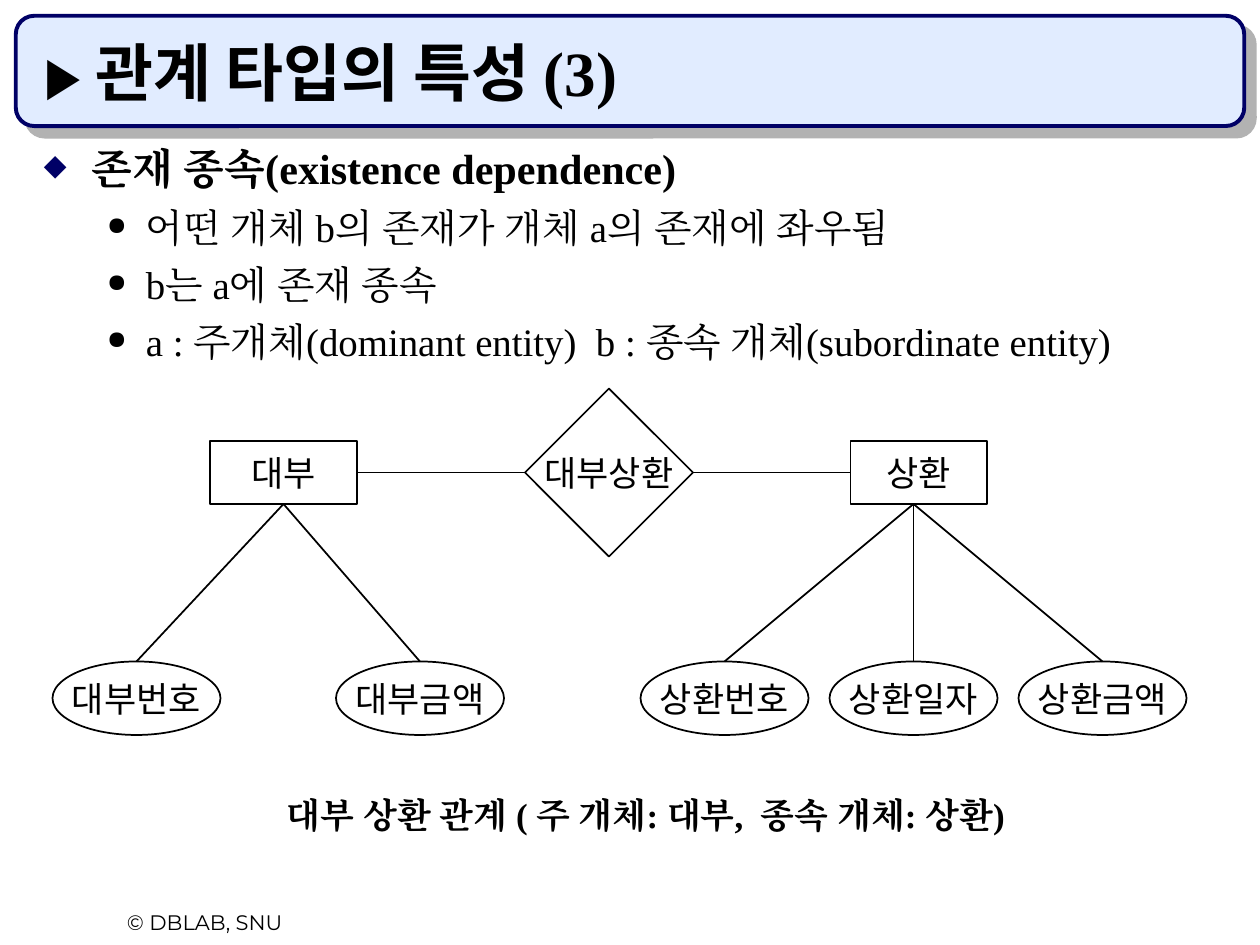
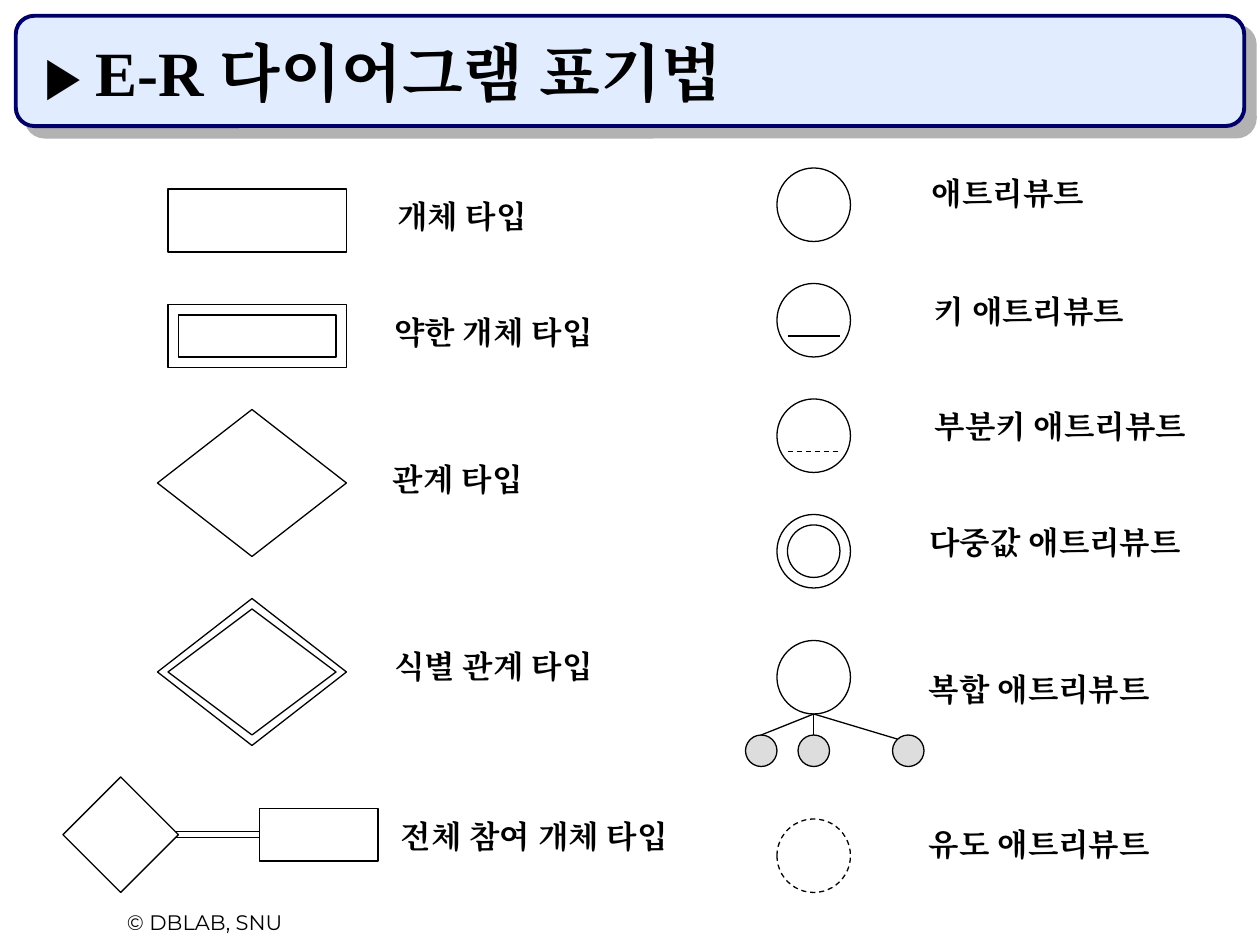
from lxml.etree import SubElement
from pptx import Presentation
from pptx.dml.color import RGBColor
from pptx.enum.dml import MSO_LINE_DASH_STYLE as Dash
from pptx.enum.shapes import MSO_CONNECTOR_TYPE as Link, MSO_SHAPE as Shape
from pptx.enum.text import MSO_ANCHOR as Anchor, MSO_AUTO_SIZE as AutoSize, PP_ALIGN as Align
from pptx.oxml.ns import qn
from pptx.util import Inches, Pt

BLACK = RGBColor(0x00, 0x00, 0x00)
WHITE = RGBColor(0xFF, 0xFF, 0xFF)
NAVY = RGBColor(0x00, 0x00, 0x66)
PALE_BLUE = RGBColor(0xE1, 0xEC, 0xFF)
SHADOW = RGBColor(0xB2, 0xB2, 0xB2)
GREY = RGBColor(0xDD, 0xDD, 0xDD)

SERIF = "Times New Roman"
KOREAN = "Noto Sans CJK KR"
FOOTER_FONT = "Montserrat"

WIDTH, HEIGHT = Inches(10), Inches(7.5)
COLUMN, ROW = WIDTH / 120, HEIGHT / 90
TITLE_ONLY = 5


def place(box):
    left, top, width, height = box
    return [round(v) for v in (left * COLUMN, top * ROW, width * COLUMN, height * ROW)]


def inset(box, gap=1):
    left, top, width, height = box
    return left + gap, top + gap, width - 2 * gap, height - 2 * gap


def add_text(para, text, size=18, font=SERIF, bold=False, color=BLACK):
    span = para.add_run()
    span.text = text
    span.font.size = Pt(size)
    span.font.name = font
    span.font.bold = bold
    span.font.color.rgb = color
    SubElement(span.font._element, qn("a:ea"), typeface=font)


def text_box(page, box, text="", align=Align.CENTER, **style):
    frame = page.shapes.add_textbox(*place(box)).text_frame
    frame.word_wrap = True
    para = frame.paragraphs[0]
    para.alignment = align
    if text:
        add_text(para, text, **style)
    return frame


def add_bullet(para, mark, color, percent, margin, indent):
    props = para._p.get_or_add_pPr()
    props.set("marL", str(Inches(margin)))
    props.set("indent", str(Inches(-indent)))
    tint = SubElement(props, qn("a:buClr"))
    SubElement(tint, qn("a:srgbClr"), val=str(color))
    SubElement(props, qn("a:buSzPct"), val=str(percent * 1000))
    SubElement(props, qn("a:buChar"), char=mark)


def outline(page, kind, box, fill=None, line=BLACK, weight=0.75, dash=None):
    shape = page.shapes.add_shape(kind, *place(box))
    shape.shadow.inherit = False
    if fill is None:
        shape.fill.background()
    else:
        shape.fill.solid()
        shape.fill.fore_color.rgb = fill
    shape.line.color.rgb = line
    shape.line.width = Pt(weight)
    if dash:
        shape.line.dash_style = dash
    return shape


def connect(page, start, end, weight=0.75, dash=None):
    x1, y1, x2, y2 = place((*start, *end))
    link = page.shapes.add_connector(Link.STRAIGHT, x1, y1, x2, y2)
    link.line.color.rgb = BLACK
    link.line.width = Pt(weight)
    if dash:
        link.line.dash_style = dash
    SubElement(link._element.spPr, qn("a:effectLst"))


def title_band(page, box):
    band = outline(page, Shape.ROUNDED_RECTANGLE, box, PALE_BLUE, NAVY, 2.25)
    band.adjustments[0] = 0.167
    effects = band._element.spPr.find(qn("a:effectLst"))
    cast = SubElement(effects, qn("a:outerShdw"), blurRad="0", dist=str(Pt(8.5)),
                      dir=str(45 * 60000), algn="ctr", rotWithShape="0")
    SubElement(cast, qn("a:srgbClr"), val=str(SHADOW))
    return band


def titled_page(deck, *title_parts):
    page = deck.slides.add_slide(deck.slide_layouts[TITLE_ONLY])
    title = page.shapes.title
    title.element.addprevious(title_band(page, (1.5, 1.5, 117, 10.5)).element)
    title.left, title.top, title.width, title.height = place((3, 3, 113, 8))
    frame = title.text_frame
    frame.word_wrap = True
    frame.auto_size = AutoSize.NONE
    frame.vertical_anchor = Anchor.BOTTOM
    para = frame.paragraphs[0]
    para.alignment = Align.LEFT
    add_text(para, "▶ ", size=32, bold=True)
    for text, font in title_parts:
        add_text(para, text, size=36, font=font, bold=True)
    text_box(page, (5, 86, 29, 3.6), "© DBLAB, SNU", size=12, font=FOOTER_FONT)
    return page


def bullet_list(page, box, heading, points):
    frame = text_box(page, box, align=Align.LEFT)
    para = frame.paragraphs[0]
    add_bullet(para, "◆", NAVY, 70, 0.38, 0.38)
    add_text(para, heading, size=24.1, bold=True)
    for point in points:
        para = frame.add_paragraph()
        para.level = 1
        add_bullet(para, "●", BLACK, 65, 0.81, 0.31)
        para.space_before = Pt(6)
        add_text(para, point, size=22.2)


def node(page, kind, box, name):
    frame = outline(page, kind, box, weight=1).text_frame
    frame.word_wrap = False
    frame.vertical_anchor = Anchor.MIDDLE
    para = frame.paragraphs[0]
    para.alignment = Align.CENTER
    add_text(para, name, size=20, font=KOREAN)


def entity(page, box, name, attributes):
    left, top, width, height = box
    node(page, Shape.RECTANGLE, box, name)
    stem = left + width // 2, top + height
    for offset, attribute in attributes:
        oval = left + offset, top + 21, 16, 7
        node(page, Shape.OVAL, oval, attribute)
        connect(page, stem, (oval[0] + 8, oval[1]), weight=1)


def relationship(page, box, name, left_edge, right_edge):
    left, top, width, height = box
    node(page, Shape.DIAMOND, box, name)
    middle = top + height / 2
    connect(page, (left_edge, middle), (left, middle), weight=1)
    connect(page, (left + width, middle), (right_edge, middle), weight=1)


def dependence_page(deck):
    page = titled_page(deck, ("관계 타입의 특성 ", KOREAN), ("(3)", SERIF))
    bullet_list(page, (3, 13, 113, 25), "존재 종속(existence dependence)", [
        "어떤 개체 b의 존재가 개체 a의 존재에 좌우됨",
        "b는 a에 존재 종속",
        "a : 주개체(dominant entity)  b : 종속 개체(subordinate entity)",
    ])
    entity(page, (20, 42, 14, 6), "대부", [(-15, "대부번호"), (12, "대부금액")])
    entity(page, (81, 42, 13, 6), "상환",
           [(-20, "상환번호"), (-2, "상환일자"), (16, "상환금액")])
    relationship(page, (50, 37, 16, 16), "대부상환", 34, 81)
    text_box(page, (21, 75, 81, 5.3),
             "대부 상환 관계 ( 주 개체: 대부,  종속 개체: 상환)", size=20, bold=True)


def nested(page, kind, box):
    outline(page, kind, box)
    outline(page, kind, inset(box))


def total_participation(page, box):
    left, top, width, height = box
    for x, y, length in ((10, 5.2, 10.8), (10.3, 5.75, 10.7)):
        connect(page, (left + x, top + y), (left + x + length, top + y))
    outline(page, Shape.RECTANGLE, (left + 18.7, top + 3, width - 18.7, 5), WHITE)
    outline(page, Shape.DIAMOND, (left, top, height, height), WHITE)


def key_attribute(page, box, dash=None):
    left, top, width, height = box
    outline(page, Shape.OVAL, box)
    connect(page, (left + 1, top + 5), (left + width - 1, top + 5), dash=dash)


def composite_attribute(page, box):
    left, top, width, height = box
    outline(page, Shape.OVAL, box)
    stem = left + width / 2, top + height
    for offset, end_x, end_y in ((-3, -1.5, 9), (2, 3.5, 9), (11, 11.5, 9.4)):
        outline(page, Shape.OVAL, (left + offset, top + 9, 3, 3), GREY)
        connect(page, stem, (left + end_x, top + end_y))


def notation_page(deck):
    page = titled_page(deck, ("E-R 다이어그램 표기법", SERIF))

    outline(page, Shape.RECTANGLE, (16, 18, 17, 6))
    nested(page, Shape.RECTANGLE, (16, 29, 17, 6))
    outline(page, Shape.DIAMOND, (15, 39, 18, 14))
    nested(page, Shape.DIAMOND, (15, 57, 18, 14))
    total_participation(page, (6, 74, 30, 11))

    circles = [(74, top, 7, 7) for top in (16, 27, 38, 49, 61, 78)]
    plain, key, partial_key, multivalued, composite, derived = circles
    outline(page, Shape.OVAL, plain)
    key_attribute(page, key)
    key_attribute(page, partial_key, dash=Dash.DASH)
    nested(page, Shape.OVAL, multivalued)
    composite_attribute(page, composite)
    outline(page, Shape.OVAL, derived, dash=Dash.DASH)

    labels = [
        (36, 18.2, 16, "개체 타입"),
        (36, 29.2, 22, "약한 개체 타입"),
        (35.6, 43.2, 16, "관계 타입"),
        (36, 61, 22, "식별 관계 타입"),
        (35.4, 77.2, 31, "전체 참여 개체 타입"),
        (83, 16, 26, "애트리뷰트"),
        (85, 27.2, 26, "키 애트리뷰트"),
        (86, 38.2, 30, "부분키 애트리뷰트"),
        (86, 49.2, 29, "다중값 애트리뷰트"),
        (86, 63.2, 26, "복합 애트리뷰트"),
        (86, 78, 26, "유도 애트리뷰트"),
    ]
    for left, top, width, name in labels:
        text_box(page, (left, top, width, 4.8), name, bold=True)


def main():
    deck = Presentation()
    deck.slide_width, deck.slide_height = WIDTH, HEIGHT
    dependence_page(deck)
    notation_page(deck)
    deck.save("out.pptx")


if __name__ == "__main__":
    main()
